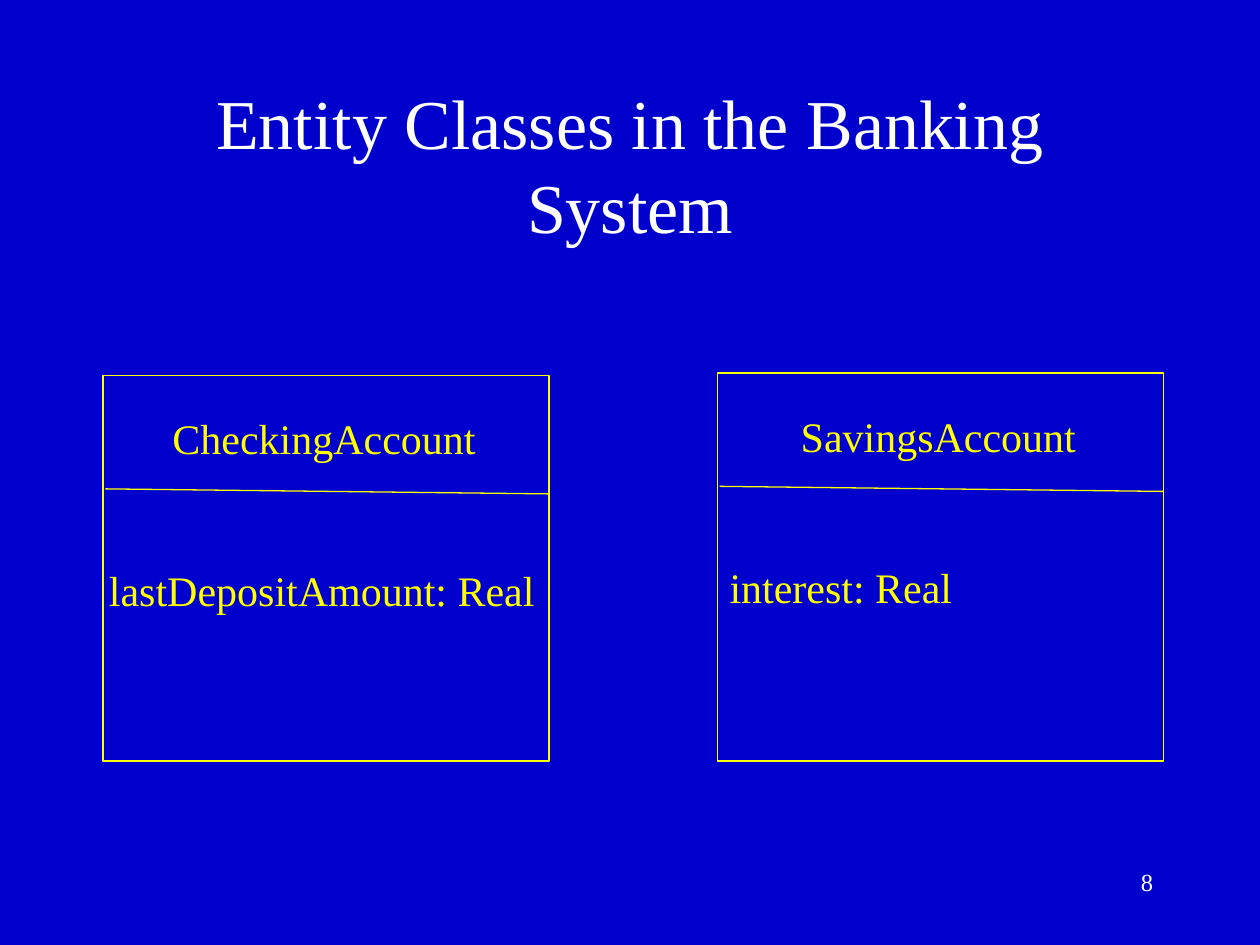
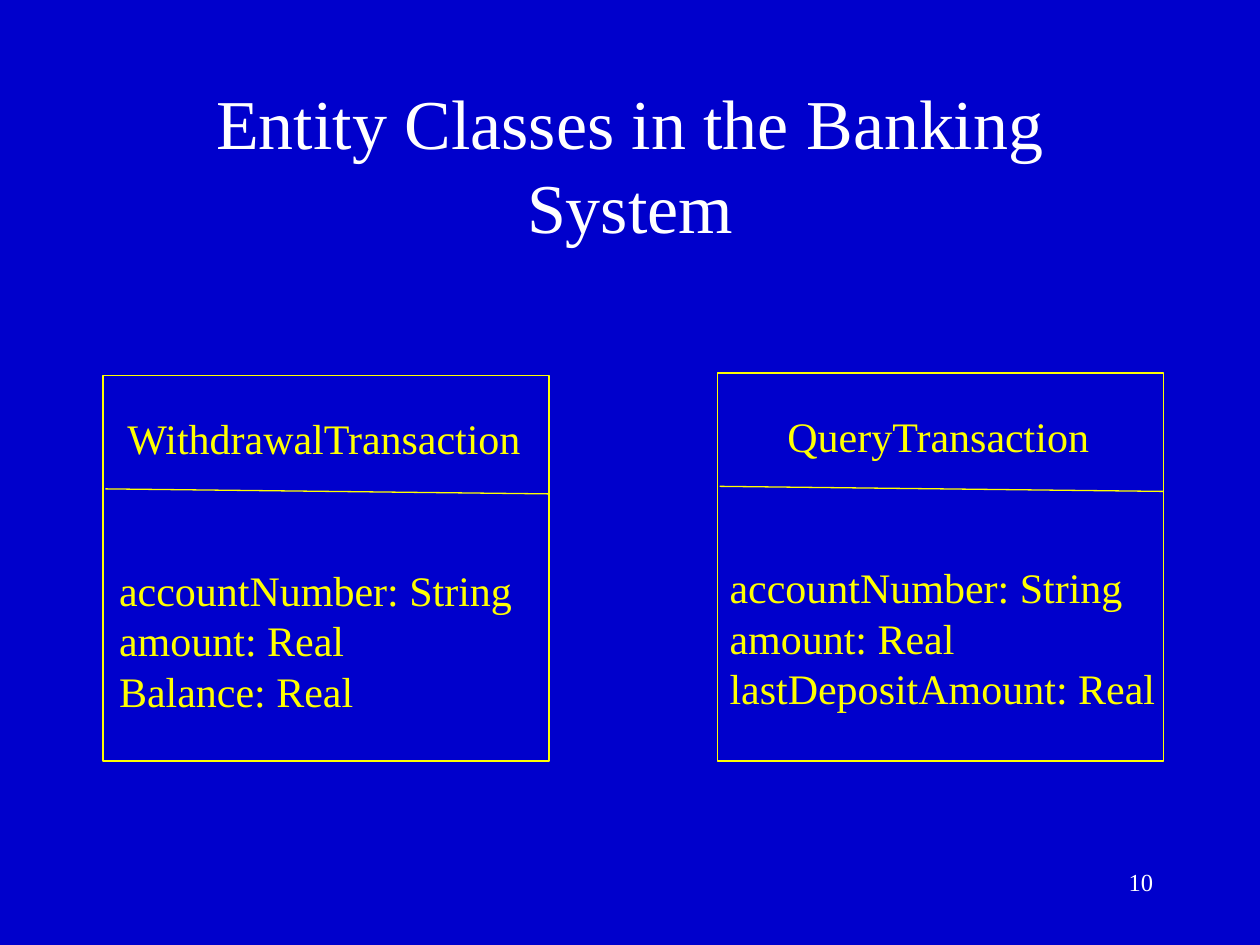
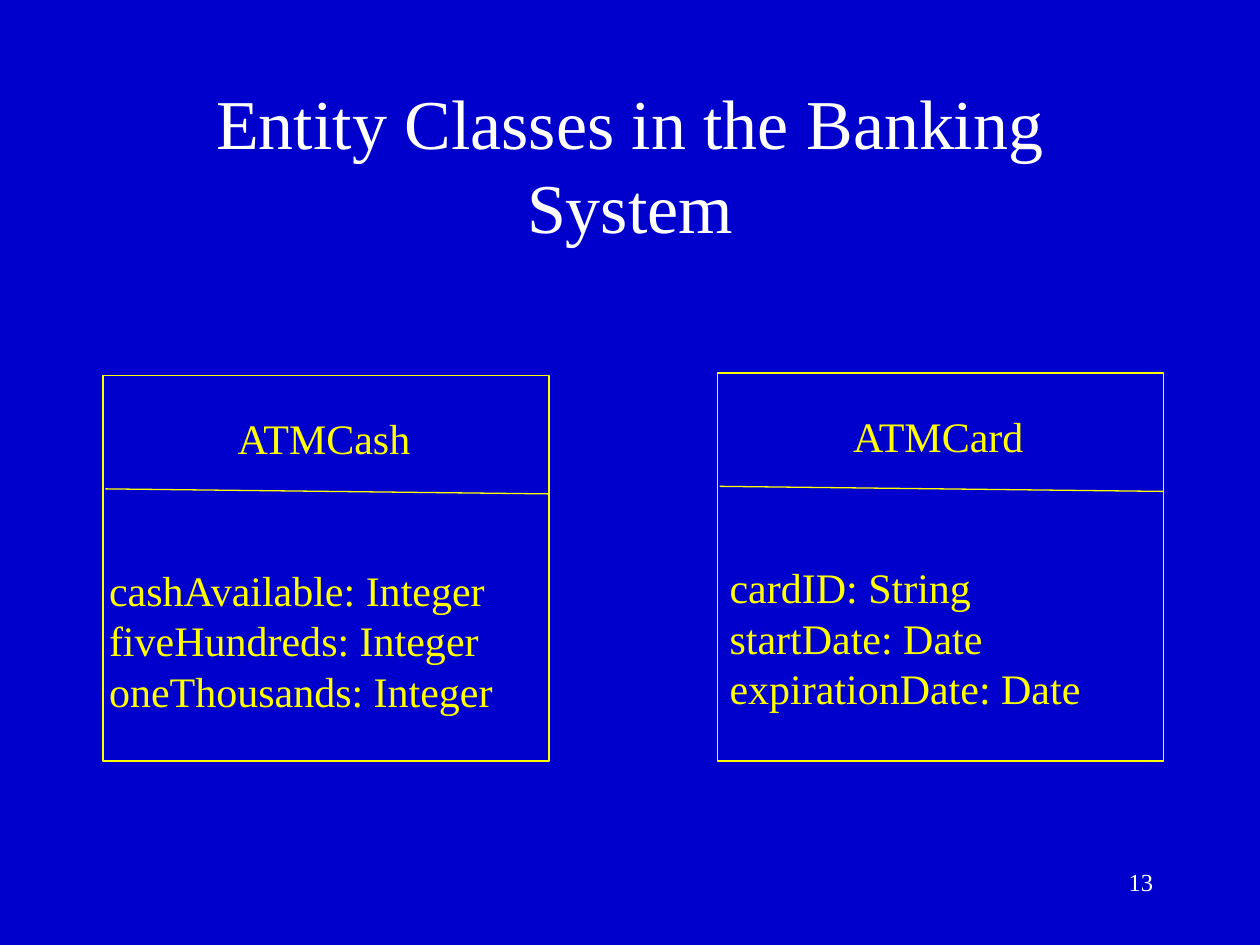
from dataclasses import dataclass

from pptx import Presentation
from pptx.dml.color import RGBColor
from pptx.enum.shapes import MSO_CONNECTOR, MSO_SHAPE
from pptx.enum.text import MSO_ANCHOR, MSO_AUTO_SIZE, PP_ALIGN
from pptx.oxml.ns import qn
from pptx.util import Inches, Pt

LEFT, MID, RIGHT = PP_ALIGN.LEFT, PP_ALIGN.CENTER, PP_ALIGN.RIGHT
RECT = MSO_SHAPE.RECTANGLE
LINE = MSO_CONNECTOR.STRAIGHT
GROW, FIXED = MSO_AUTO_SIZE.SHAPE_TO_FIT_TEXT, MSO_AUTO_SIZE.NONE
MIDDLE = MSO_ANCHOR.MIDDLE

# The slide is a grid of 100 columns by 75 rows
COLS, ROWS = 100, 75
FLOOR = 60.4      # row where all class frames end
WIDE = 35.4       # columns per class frame
SPOTS = ((8.17, 29.8), (56.92, 29.6))  # top left of each frame


@dataclass(frozen=True)
class Theme:
    back: RGBColor = RGBColor(0x00, 0x00, 0xCC)
    plain: RGBColor = RGBColor(0xFF, 0xFF, 0xFF)
    ink: RGBColor = RGBColor(0xFF, 0xFF, 0x00)
    face: str = "Times New Roman"
    title: Pt = Pt(40)
    label: Pt = Pt(24)
    page: Pt = Pt(14)
    rule: Pt = Pt(0.75)


@dataclass(frozen=True)
class Entity:
    name: str
    span: float       # columns for the name
    fields: tuple
    room: float       # columns for the fields
    shift: float = 0  # columns from the frame's left side to the fields


THEME = Theme()
TITLE = "Entity Classes in the Banking System"

PAGES = (
    (8,
     Entity("CheckingAccount", 26.4, ("lastDepositAmount: Real",), 36, -0.5),
     Entity("SavingsAccount", 24.2, ("interest: Real",), 20)),
    (10,
     Entity("WithdrawalTransaction", 33.6,
            ("accountNumber: String", "amount: Real", "Balance: Real"),
            33.5, 0.3),
     Entity("QueryTransaction", 26.3,
            ("accountNumber: String", "amount: Real",
             "lastDepositAmount: Real"), 36)),
    (13,
     Entity("ATMCash", 16.3,
            ("cashAvailable: Integer", "fiveHundreds: Integer",
             "oneThousands: Integer"), 32.8, -0.5),
     Entity("ATMCard", 16.1,
            ("cardID: String", "startDate: Date", "expirationDate: Date"),
            30.2)),
)


def grid(*cells):
    return [Inches(cell / 10) for cell in cells]


def write(frame, lines, size, color, align):
    frame.text = "\n".join(lines)
    for para in frame.paragraphs:
        para.alignment = align
        para.font.name = THEME.face
        para.font.size = size
        para.font.color.rgb = color


def add_title(slide):
    title = slide.shapes.title
    title.left, title.top, title.width, title.height = grid(7.5, 6.7, 85, 12.5)
    frame = title.text_frame
    frame.auto_size = FIXED
    frame.vertical_anchor = MIDDLE
    write(frame, [TITLE], THEME.title, THEME.plain, MID)


def add_label(slide, x, y, wide, lines, align):
    box = slide.shapes.add_textbox(*grid(x, y, wide, 1 + 4 * len(lines)))
    frame = box.text_frame
    frame.word_wrap = False
    frame.auto_size = GROW
    write(frame, lines, THEME.label, THEME.ink, align)


def add_entity(slide, spot, entity):
    x, y = spot
    # Frame
    box = slide.shapes.add_shape(RECT, *grid(x, y, WIDE, FLOOR - y))
    box.shadow.inherit = False
    box.fill.background()
    # Rule between name and fields
    rule = slide.shapes.add_connector(
        LINE, *grid(x + 0.2, y + 9, x + WIDE, y + 9.4))
    props = rule._element.spPr
    for part in (box, rule):
        part.line.color.rgb = THEME.ink
        part.line.width = THEME.rule
    props.append(props.makeelement(qn("a:effectLst"), {}))
    # Name and fields
    add_label(slide, x + 17.55 - entity.span / 2, y + 2.45, entity.span,
              [entity.name], MID)
    add_label(slide, x + entity.shift, y + 14.5, entity.room,
              entity.fields, LEFT)


def add_page(slide, page):
    box = slide.shapes.add_textbox(*grid(71.7, 68.3, 20.8, 5))
    box.text_frame.word_wrap = True
    write(box.text_frame, [str(page)], THEME.page, THEME.plain, RIGHT)


def main():
    deck = Presentation()
    deck.slide_width, deck.slide_height = grid(COLS, ROWS)
    fill = deck.slide_master.background.fill
    fill.solid()
    fill.fore_color.rgb = THEME.back
    layout = deck.slide_layouts.get_by_name("Title Only")
    for page, *pair in PAGES:
        slide = deck.slides.add_slide(layout)
        add_title(slide)
        for spot, entity in zip(SPOTS, pair):
            add_entity(slide, spot, entity)
        add_page(slide, page)
    deck.save("out.pptx")


if __name__ == "__main__":
    main()
